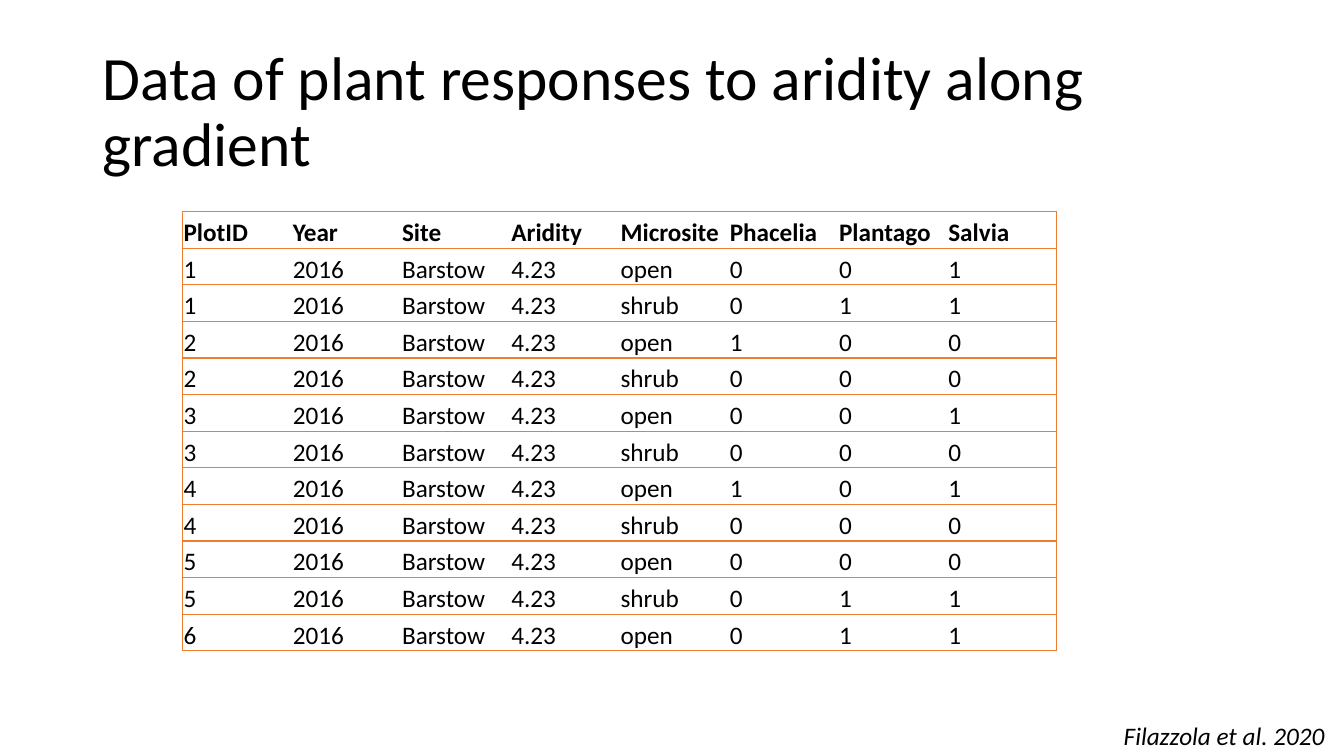
import dataclasses

import lxml.etree
import pptx
import pptx.dml.color
import pptx.enum.text
import pptx.oxml.ns
import pptx.util

Pt = pptx.util.Pt
Anchor = pptx.enum.text.MSO_ANCHOR
AutoSize = pptx.enum.text.MSO_AUTO_SIZE


@dataclasses.dataclass(frozen=True)
class Theme:
    font: str = "Calibri"
    title_size: float = 44
    body_size: float = 18
    text: str = "000000"
    paper: str = "FFFFFF"
    rule: str = "ED7D31"
    rule_width: float = 1


THEME = Theme()
TITLE = "Data of plant responses to aridity along gradient"
CITATION = "Filazzola et al. 2020"
HEADER = ("PlotID", "Year", "Site", "Aridity", "Microsite", "Phacelia", "Plantago", "Salvia")
YEAR, SITE, ARIDITY = "2016", "Barstow", "4.23"
# Plot, microsite, then counts of Phacelia, Plantago and Salvia
OBSERVATIONS = (
    ("1", "open", "0", "0", "1"),
    ("1", "shrub", "0", "1", "1"),
    ("2", "open", "1", "0", "0"),
    ("2", "shrub", "0", "0", "0"),
    ("3", "open", "0", "0", "1"),
    ("3", "shrub", "0", "0", "0"),
    ("4", "open", "1", "0", "1"),
    ("4", "shrub", "0", "0", "0"),
    ("5", "open", "0", "0", "0"),
    ("5", "shrub", "0", "1", "1"),
    ("6", "open", "0", "1", "1"),
)


def format_text(paragraph, size, bold=False, italic=False):
    for run in paragraph.runs:
        run.font.name = THEME.font
        run.font.size = Pt(size)
        run.font.bold = bold
        run.font.italic = italic
        run.font.color.rgb = pptx.dml.color.RGBColor.from_string(THEME.text)


def set_title(slide, text):
    title = slide.shapes.title
    title.left, title.top, title.width, title.height = Pt(66), Pt(28.75), Pt(828), Pt(104.4)
    frame = title.text_frame
    frame.text = text
    frame.word_wrap = True
    frame.auto_size = AutoSize.NONE
    frame.vertical_anchor = Anchor.MIDDLE
    paragraph = frame.paragraphs[0]
    paragraph.alignment = pptx.enum.text.PP_ALIGN.LEFT
    paragraph.line_spacing = 0.9
    format_text(paragraph, THEME.title_size)


def set_borders(cell, ruled_sides):
    """Rule the sides named by L, R, T and B, and clear the others."""
    properties = cell._tc.get_or_add_tcPr()
    qn = pptx.oxml.ns.qn
    for side in "LRTB":
        line = lxml.etree.SubElement(
            properties, qn("a:ln" + side), w=str(Pt(THEME.rule_width)))
        if side in ruled_sides:
            fill = lxml.etree.SubElement(line, qn("a:solidFill"))
            lxml.etree.SubElement(fill, qn("a:srgbClr"), val=THEME.rule)
        else:
            lxml.etree.SubElement(line, qn("a:noFill"))


def fill_cell(cell, text, bold, ruled_sides):
    cell.text_frame.text = text
    cell.vertical_anchor = Anchor.BOTTOM
    cell.margin_left = cell.margin_right = cell.margin_top = Pt(0.75)
    cell.margin_bottom = 0
    format_text(cell.text_frame.paragraphs[0], THEME.body_size, bold=bold)
    set_borders(cell, ruled_sides)
    cell.fill.solid()
    cell.fill.fore_color.rgb = pptx.dml.color.RGBColor.from_string(THEME.paper)


def add_data_table(slide, rows):
    column_count = len(rows[0])
    column_width, row_height = Pt(78.05), Pt(26.16)
    table = slide.shapes.add_table(
        len(rows), column_count, Pt(130.4), Pt(151.2),
        column_width * column_count, row_height * len(rows)).table
    table.first_row = table.horz_banding = False
    for column in table.columns:
        column.width = column_width
    for row_index, values in enumerate(rows):
        table.rows[row_index].height = row_height
        for column_index, value in enumerate(values):
            sides = "TB"
            if column_index == 0:
                sides += "L"
            if column_index == column_count - 1:
                sides += "R"
            fill_cell(table.cell(row_index, column_index), value, row_index == 0, sides)


def add_citation(slide, text):
    box = slide.shapes.add_textbox(Pt(795.6), Pt(511.2), Pt(158.4), Pt(29))
    frame = box.text_frame
    frame.text = text
    frame.word_wrap = False
    frame.auto_size = AutoSize.SHAPE_TO_FIT_TEXT
    format_text(frame.paragraphs[0], THEME.body_size, italic=True)


def main():
    presentation = pptx.Presentation()
    presentation.slide_width, presentation.slide_height = Pt(960), Pt(540)
    slide = presentation.slides.add_slide(presentation.slide_layouts.get_by_name("Title Only"))
    set_title(slide, TITLE)
    records = [(plot, YEAR, SITE, ARIDITY, microsite, *counts)
               for plot, microsite, *counts in OBSERVATIONS]
    add_data_table(slide, [HEADER, *records])
    add_citation(slide, CITATION)
    presentation.save("out.pptx")


if __name__ == "__main__":
    main()
